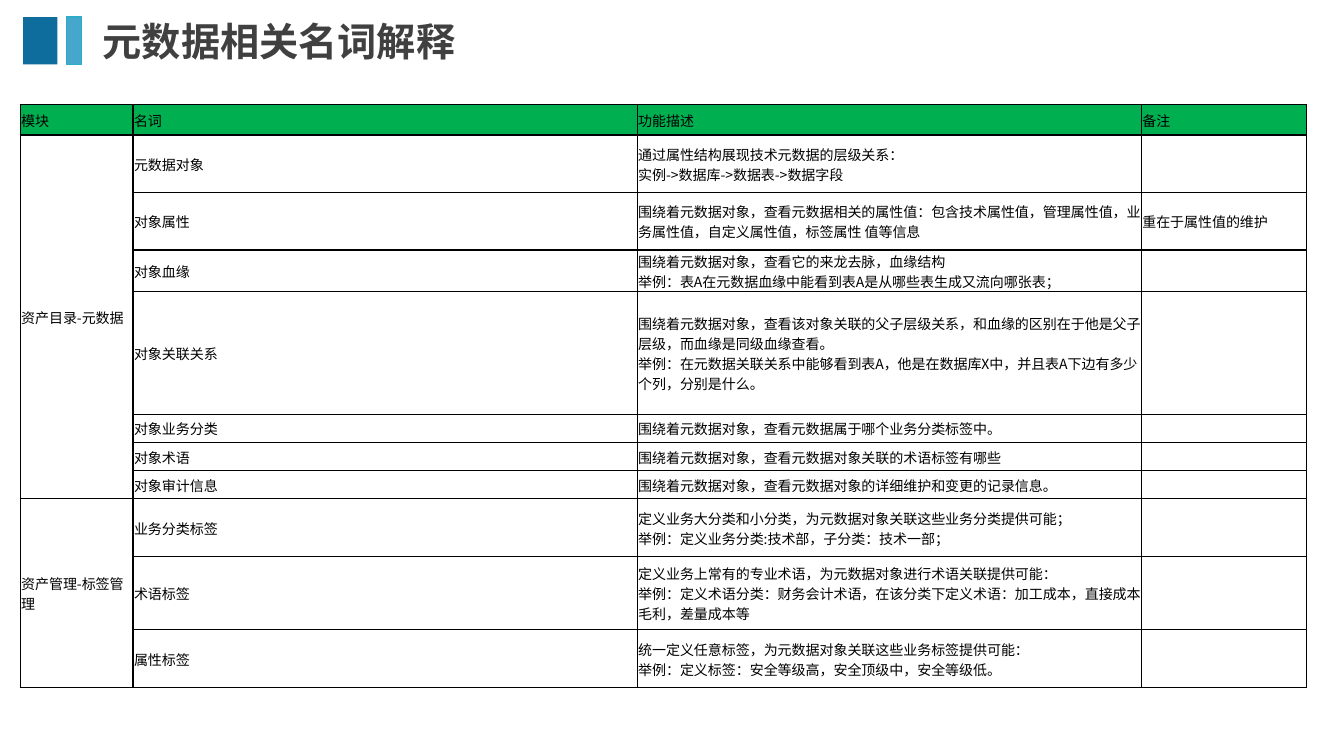
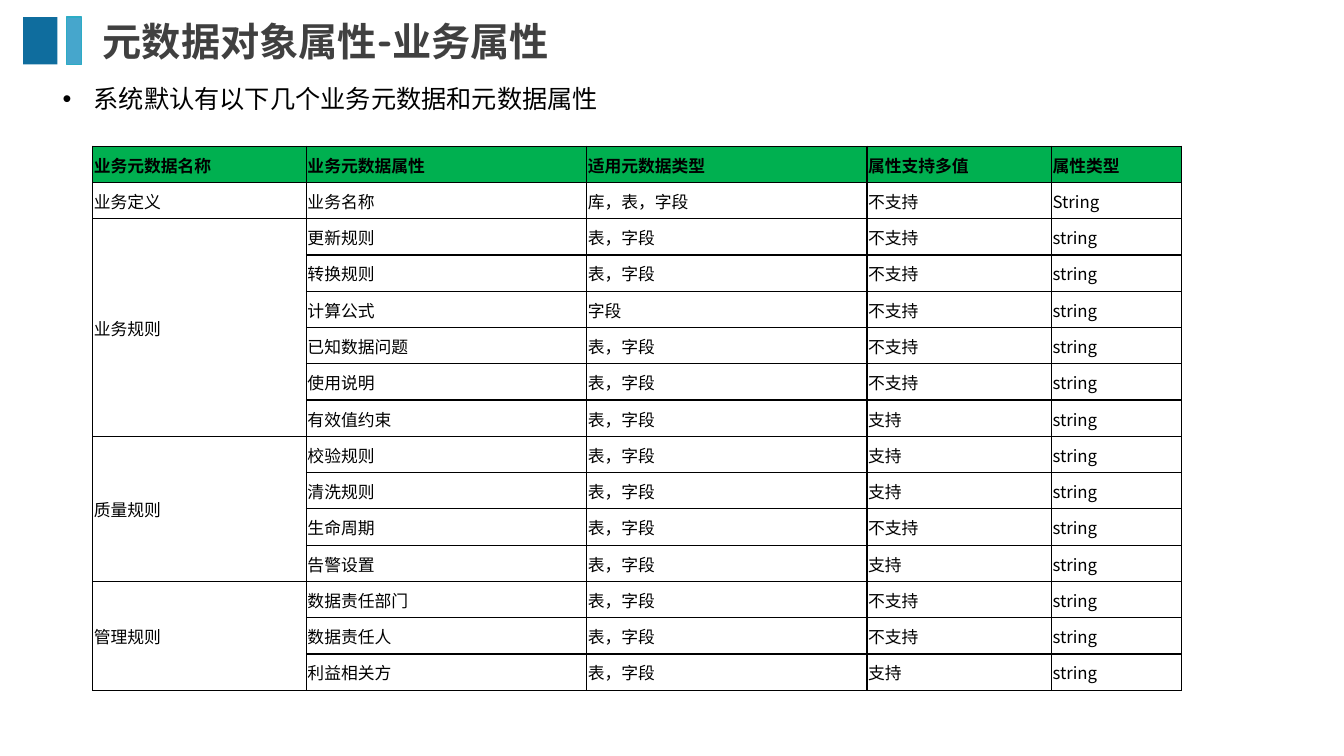
from itertools import chain

from lxml.etree import SubElement
from pptx import Presentation
from pptx.dml.color import RGBColor
from pptx.enum.shapes import MSO_SHAPE as Shape
from pptx.enum.text import MSO_ANCHOR as Anchor, MSO_AUTO_SIZE as AutoSize, PP_ALIGN as Align
from pptx.oxml import parse_xml
from pptx.oxml.ns import nsdecls, qn
from pptx.util import Inches, Pt

BLACK = RGBColor(0x00, 0x00, 0x00)
WHITE = RGBColor(0xFF, 0xFF, 0xFF)
GREEN = RGBColor(0x00, 0xB0, 0x50)
DARK_GREY = RGBColor(0x40, 0x40, 0x40)
DEEP_BLUE = RGBColor(0x0F, 0x6D, 0x9E)
LIGHT_BLUE = RGBColor(0x46, 0xA6, 0xCC)
CYAN = RGBColor(0x2C, 0xAC, 0xC5)

TITLE_FONT = "Quicksand"
TEXT_FONT = "Noto Sans CJK SC"
TITLE_ONLY, TITLE_AND_BODY = 5, 1


def apply(target, values):
    """Set every attribute named in values on target."""
    for name, value in values.items():
        setattr(target, name, value)


class Deck:
    """Holds the shared style and the slide being built."""

    TITLE_FORMAT = {"name": TITLE_FONT, "size": Pt(28), "bold": True}
    FRAME_FORMAT = {"word_wrap": True, "auto_size": AutoSize.NONE}
    CELL_FORMAT = {
        "vertical_anchor": Anchor.MIDDLE,
        "margin_left": Inches(0.01),
        "margin_top": Inches(0.01),
        "margin_right": Inches(0.01),
        "margin_bottom": 0,
    }

    def __init__(self):
        """Start a widescreen presentation."""
        self.presentation = Presentation()
        apply(self.presentation, {"slide_width": Inches(13.33), "slide_height": Inches(7.5)})
        self.slide = None

    def start_slide(self, title, layout):
        """Add a slide with the two title bands and its title."""
        self.slide = self.presentation.slides.add_slide(self.presentation.slide_layouts[layout])
        self.band(0.23, 0.34, DEEP_BLUE)
        self.band(0.66, 0.15, LIGHT_BLUE, CYAN)
        heading = self.slide.shapes.title
        self.place(heading, 0.92, 0.17, 11.12, 0.53)
        heading.text_frame.vertical_anchor = Anchor.MIDDLE
        paragraph = self.fill_text(heading.text_frame, title, self.TITLE_FORMAT, DARK_GREY)
        apply(paragraph, {"alignment": Align.LEFT, "line_spacing": 0.9})

    def band(self, left, width, fill, outline=None):
        """Draw one vertical band beside the title."""
        band = self.slide.shapes.add_shape(
            Shape.RECTANGLE, Inches(left), Inches(0.17), Inches(width), Inches(0.47))
        band.shadow.inherit = False
        band.fill.solid()
        band.fill.fore_color.rgb = fill
        if outline is None:
            band.line.fill.background()
        else:
            band.line.color.rgb = outline
            band.line.width = Pt(1)

    def place(self, holder, left, top, width, height):
        """Move a placeholder and fix how its frame behaves."""
        apply(holder, {"left": Inches(left), "top": Inches(top),
                       "width": Inches(width), "height": Inches(height)})
        apply(holder.text_frame, self.FRAME_FORMAT)

    def fill_text(self, frame, text, font_format, color):
        """Fill a text frame, format its runs and return the first paragraph."""
        frame.text = text
        for run in chain.from_iterable(p.runs for p in frame.paragraphs):
            apply(run.font, font_format)
            run.font.color.rgb = color
            SubElement(run._r.get_or_add_rPr(), qn("a:ea"), typeface=TEXT_FONT)
        return frame.paragraphs[0]

    def bullet(self, text, left, top, width, height):
        """Put one bulleted line in the body placeholder."""
        body = self.slide.placeholders[1]
        self.place(body, left, top, width, height)
        paragraph = self.fill_text(
            body.text_frame, text, {"name": TEXT_FONT, "size": Pt(18)}, BLACK)
        apply(paragraph, {"space_before": Pt(0), "alignment": Align.LEFT})
        properties = paragraph._p.get_or_add_pPr()
        properties.set("marL", str(Inches(0.31)))
        properties.set("indent", str(-Inches(0.31)))
        SubElement(properties, qn("a:buFont"), typeface="Arial")
        SubElement(properties, qn("a:buChar"), char="•")

    def table(self, left, top, widths, heights, rows, size, bold_header):
        """Draw a bordered table, merging first-column cells over blanks below."""
        table = self.slide.shapes.add_table(
            len(rows), len(widths), Inches(left), Inches(top),
            Inches(sum(widths)), Inches(sum(heights))).table
        apply(table, {"first_row": False, "horz_banding": False})
        for column, width in zip(table.columns, widths):
            column.width = Inches(width)
        for index, (row, height, texts) in enumerate(zip(table.rows, heights, rows)):
            row.height = Inches(height)
            is_header = index == 0
            for cell, text in zip(row.cells, texts):
                self.cell(cell, text, size, is_header and bold_header,
                          GREEN if is_header else WHITE)
        starts = [index for index, texts in enumerate(rows) if texts[0]]
        for first, following in zip(starts, starts[1:] + [len(rows)]):
            if following - first > 1:
                table.cell(first, 0).merge(table.cell(following - 1, 0))

    def cell(self, cell, text, size, bold, fill):
        """Format one table cell with its text, fill and borders."""
        apply(cell, self.CELL_FORMAT)
        cell.fill.solid()
        cell.fill.fore_color.rgb = fill
        paragraph = self.fill_text(
            cell.text_frame, text, {"name": TEXT_FONT, "size": Pt(size), "bold": bold}, BLACK)
        if not text:
            SubElement(paragraph._p, qn("a:endParaRPr"), sz=str(size * 100))
        properties = cell._tc.get_or_add_tcPr()
        for position, side in enumerate("LRTB"):
            properties.insert(position, parse_xml(
                f'<a:ln{side} {nsdecls("a")} w="{Pt(1)}"><a:solidFill>'
                f'<a:srgbClr val="{BLACK}"/></a:solidFill></a:ln{side}>'))


TERMS = [
    ("模块", "名词", "功能描述", "备注"),
    ("资产目录-元数据", "元数据对象",
     "通过属性结构展现技术元数据的层级关系：\v实例->数据库->数据表->数据字段", ""),
    ("", "对象属性",
     "围绕着元数据对象，查看元数据相关的属性值：包含技术属性值，管理属性值，"
     "业务属性值，自定义属性值，标签属性 值等信息", "重在于属性值的维护"),
    ("", "对象血缘",
     "围绕着元数据对象，查看它的来龙去脉，血缘结构\n"
     "举例：表A在元数据血缘中能看到表A是从哪些表生成又流向哪张表；", ""),
    ("", "对象关联关系",
     "围绕着元数据对象，查看该对象关联的父子层级关系，和血缘的区别在于他是父子层级，"
     "而血缘是同级血缘查看。\v举例：在元数据关联关系中能够看到表A，他是在数据库X中，"
     "并且表A下边有多少个列，分别是什么。", ""),
    ("", "对象业务分类", "围绕着元数据对象，查看元数据属于哪个业务分类标签中。", ""),
    ("", "对象术语", "围绕着元数据对象，查看元数据对象关联的术语标签有哪些", ""),
    ("", "对象审计信息", "围绕着元数据对象，查看元数据对象的详细维护和变更的记录信息。", ""),
    ("资产管理-标签管理", "业务分类标签",
     "定义业务大分类和小分类，为元数据对象关联这些业务分类提供可能；\v"
     "举例：定义业务分类:技术部，子分类：技术一部；", ""),
    ("", "术语标签",
     "定义业务上常有的专业术语，为元数据对象进行术语关联提供可能：\v"
     "举例：定义术语分类：财务会计术语，在该分类下定义术语：加工成本，直接成本，"
     "毛利，差量成本等", ""),
    ("", "属性标签",
     "统一定义任意标签，为元数据对象关联这些业务标签提供可能：\v"
     "举例：定义标签：安全等级高，安全顶级中，安全等级低。", ""),
]
TERM_HEIGHTS = [0.3, 0.57, 0.57, 0.27, 1.22, 0.28, 0.28, 0.28, 0.57, 0.73, 0.57]

ATTRIBUTES = [
    ("业务元数据名称", "业务元数据属性", "适用元数据类型", "属性支持多值", "属性类型"),
    ("业务定义", "业务名称", "库，表，字段", "不支持", "String"),
    ("业务规则", "更新规则", "表，字段", "不支持", "string"),
    ("", "转换规则", "表，字段", "不支持", "string"),
    ("", "计算公式", "字段", "不支持", "string"),
    ("", "已知数据问题", "表，字段", "不支持", "string"),
    ("", "使用说明", "表，字段", "不支持", "string"),
    ("", "有效值约束", "表，字段", "支持", "string"),
    ("质量规则", "校验规则", "表，字段", "支持", "string"),
    ("", "清洗规则", "表，字段", "支持", "string"),
    ("", "生命周期", "表，字段", "不支持", "string"),
    ("", "告警设置", "表，字段", "支持", "string"),
    ("管理规则", "数据责任部门", "表，字段", "不支持", "string"),
    ("", "数据责任人", "表，字段", "不支持", "string"),
    ("", "利益相关方", "表，字段", "支持", "string"),
]


def main():
    """Build both slides and save them."""
    deck = Deck()
    deck.start_slide("元数据相关名词解释", TITLE_ONLY)
    deck.table(0.2, 1.04, [1.12, 5, 5, 1.64], TERM_HEIGHTS, TERMS, 10, False)

    deck.start_slide("元数据对象属性-业务属性", TITLE_AND_BODY)
    deck.bullet("系统默认有以下几个业务元数据和元数据属性", 0.52, 0.78, 6.62, 0.4)
    deck.table(0.92, 1.45, [2.12, 2.78, 2.78, 1.83, 1.29],
               [0.36] * len(ATTRIBUTES), ATTRIBUTES, 12, True)
    deck.presentation.save("out.pptx")


if __name__ == "__main__":
    main()
